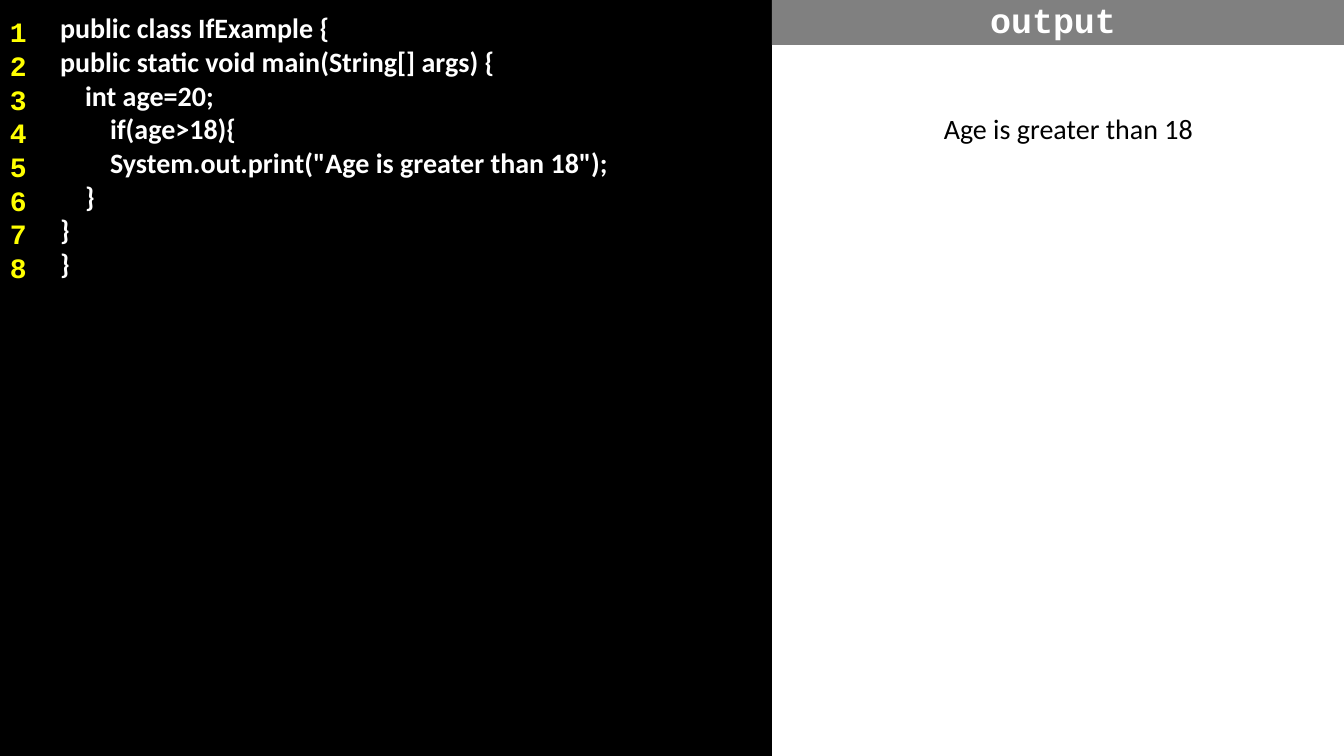
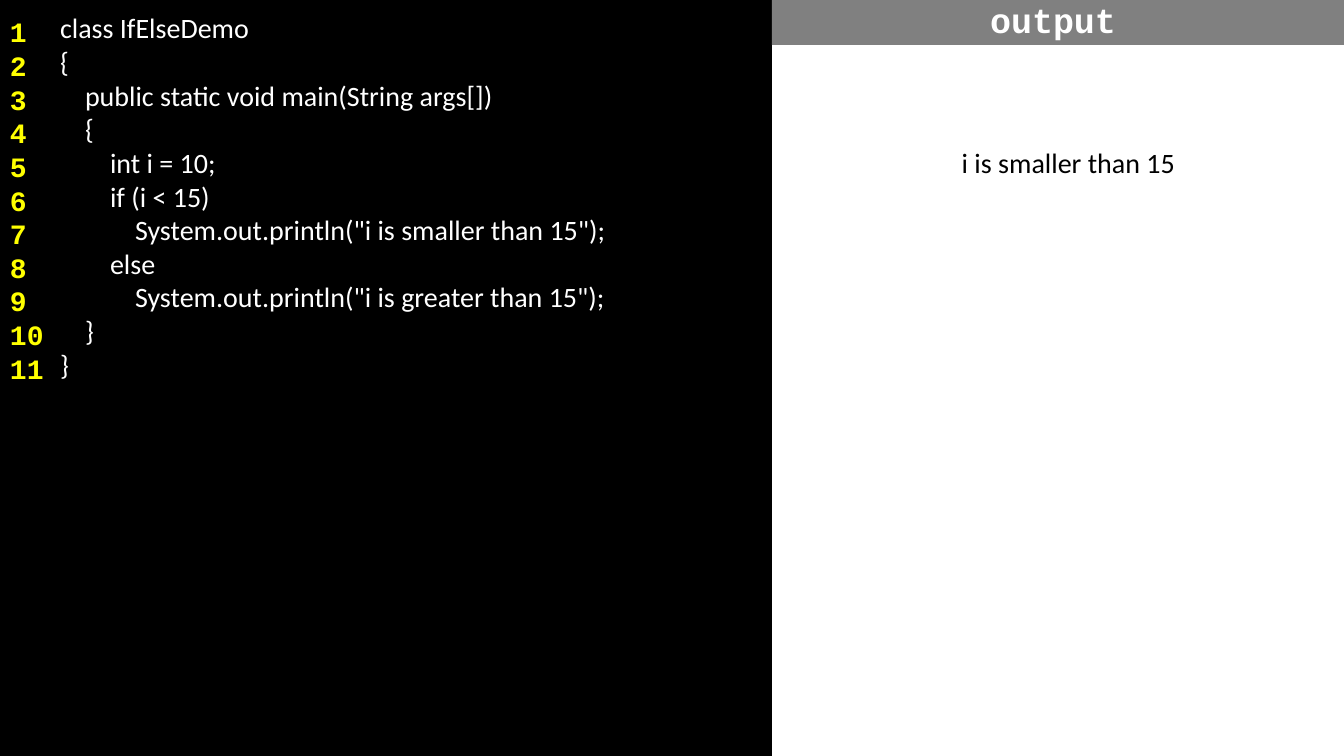
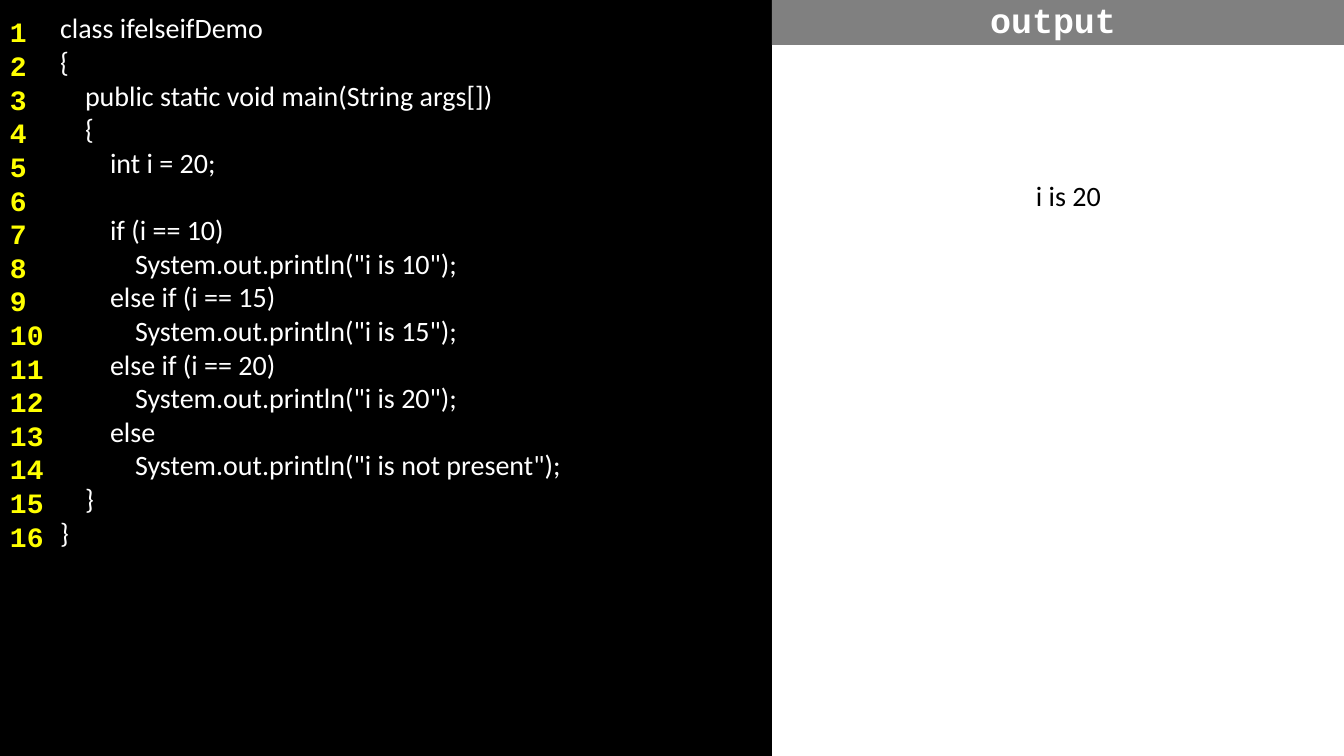
from lxml.etree import SubElement
from pptx import Presentation
from pptx.dml.color import RGBColor
from pptx.enum.shapes import MSO_SHAPE
from pptx.enum.text import MSO_ANCHOR, PP_ALIGN
from pptx.oxml.ns import qn
from pptx.util import Emu, Pt

PX_PER_INCH = 100.8
SLIDE_W, SLIDE_H = 1344, 756
CODE_W, GUTTER_W, STRIP_H, HEADING_H = 772, 58, 8, 45
INDENT = 25
LINE_PT = 24
LINE_PX = LINE_PT * PX_PER_INCH / 72

BLACK, WHITE, YELLOW, GRAY = "000000", "FFFFFF", "FFFF00", "808080"
BODY_FONT, MONO_FONT = "Calibri", "Courier New"

IF_CODE = """public class IfExample {
public static void main(String[] args) {
    int age=20;
        if(age>18){
        System.out.print("Age is greater than 18");
    }
}
}"""

IF_ELSE_CODE = """class IfElseDemo
{
    public static void main(String args[])
    {
        int i = 10;
        if (i < 15)
            System.out.println("i is smaller than 15");
        else
            System.out.println("i is greater than 15");
    }
}"""

ELSE_IF_CODE = """class ifelseifDemo
{
    public static void main(String args[])
    {
        int i = 20;

        if (i == 10)
            System.out.println("i is 10");
        else if (i == 15)
            System.out.println("i is 15");
        else if (i == 20)
            System.out.println("i is 20");
        else
            System.out.println("i is not present");
    }
}"""

# Code, bold or not, output text, output line it stands on
EXAMPLES = [
    (IF_CODE, True, "Age is greater than 18", 3),
    (IF_ELSE_CODE, False, "i is smaller than 15", 4),
    (ELSE_IF_CODE, False, "i is 20", 5),
]


def px(length):
    return Emu(round(length * 914400 / PX_PER_INCH))


def color(hex_value):
    return RGBColor.from_string(hex_value)


def add_panel(slide, box, fill, insets=(0, 0, 0, 0), opacity=100):
    panel = slide.shapes.add_shape(MSO_SHAPE.RECTANGLE, *map(px, box))
    panel.shadow.inherit = False
    panel.line.fill.background()
    panel.fill.solid()
    panel.fill.fore_color.rgb = color(fill)
    if opacity < 100:
        tint = panel.fill._xPr.find(".//" + qn("a:srgbClr"))
        SubElement(tint, qn("a:alpha"), val=str(opacity * 1000))
    frame = panel.text_frame
    frame.word_wrap = True
    frame.vertical_anchor = MSO_ANCHOR.TOP
    (frame.margin_left, frame.margin_top,
     frame.margin_right, frame.margin_bottom) = map(px, insets)
    return frame


def add_line(frame, text, font, size, ink, bold=False, align=PP_ALIGN.LEFT):
    first = frame.paragraphs[0]
    paragraph = frame.add_paragraph() if first.runs else first
    paragraph.alignment = align
    run = paragraph.add_run()
    run.text = text
    run.font.name, run.font.size, run.font.bold = font, Pt(size), bold
    run.font.color.rgb = color(ink)
    return paragraph


def add_code(slide, box, code, bold):
    left, top, width, height = box
    lines = code.split("\n")

    # Code, indented by level; an empty line becomes space before the next
    listing = add_panel(slide, box, BLACK, (60, 11, 10, 100))
    skipped = 0
    for line in lines:
        statement = line.lstrip()
        if not statement:
            skipped += 1
            continue
        paragraph = add_line(listing, statement, BODY_FONT, 20, WHITE, bold)
        paragraph.line_spacing = Pt(LINE_PT)
        paragraph.space_before = Pt(skipped * LINE_PT)
        level = (len(line) - len(statement)) // 4
        paragraph._p.get_or_add_pPr().set("marL", str(px(level * INDENT)))
        skipped = 0

    # Gutter with line numbers
    add_panel(slide, (left, top, GUTTER_W, STRIP_H), BLACK, opacity=68)
    gutter = add_panel(
        slide, (left, top + STRIP_H, GUTTER_W, height - STRIP_H), BLACK,
        (10, 7, 5, 100), opacity=68)
    for number in range(1, len(lines) + 1):
        paragraph = add_line(gutter, str(number), MONO_FONT, 20, YELLOW, True)
        paragraph.line_spacing = Pt(LINE_PT)


def add_output(slide, box, result, result_line):
    left, top, width, height = box

    # Result, lowered to its line
    drop = round(5 + (result_line - 1) * LINE_PX)
    screen = add_panel(slide, (left + 1, top + 40, width - 1, height - 40),
                       WHITE, (20, drop, 0, 0))
    paragraph = add_line(screen, result, BODY_FONT, 20, BLACK,
                         align=PP_ALIGN.CENTER)
    paragraph.line_spacing = Pt(LINE_PT)

    # Heading band
    heading = add_panel(slide, (left, top, width, HEADING_H), GRAY,
                        (0, 5, 10, 10))
    heading.vertical_anchor = MSO_ANCHOR.MIDDLE
    add_line(heading, "output", MONO_FONT, 25, WHITE, True, PP_ALIGN.CENTER)


def main():
    deck = Presentation()
    deck.slide_width, deck.slide_height = px(SLIDE_W), px(SLIDE_H)
    for code, bold, result, result_line in EXAMPLES:
        slide = deck.slides.add_slide(deck.slide_layouts[6])
        add_code(slide, (0, 0, CODE_W, SLIDE_H), code, bold)
        add_output(slide, (CODE_W, 0, SLIDE_W - CODE_W, SLIDE_H),
                   result, result_line)
    deck.save("out.pptx")


if __name__ == "__main__":
    main()
